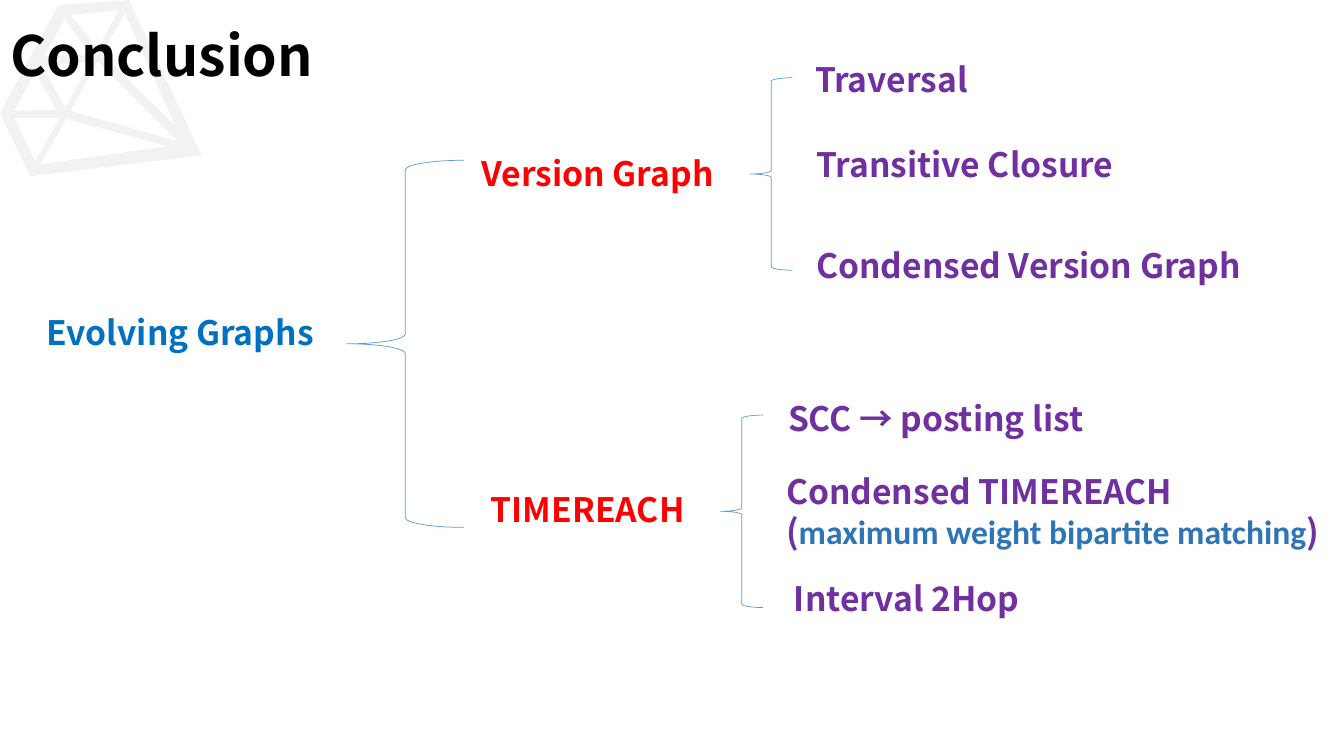
from dataclasses import dataclass

import pptx
import pptx.dml.color
import pptx.enum.shapes
import pptx.enum.text
import pptx.util
from pptx.util import Cm

HEADING_FONT = "Noto Sans CJK SC"
BLUE, RED, PURPLE = "0070C0", "FF0000", "7030A0"
LINE_HEIGHT = 1.27  # height of a one-line label, cm


@dataclass
class Span:
    text: str
    color: str
    font: str = HEADING_FONT


@dataclass
class Label:
    left: float
    top: float
    width: float
    lines: list[list[Span]]
    height: float = LINE_HEIGHT
    level: int = 0
    centered: bool = False
    spacing: float = 1.0


@dataclass
class Brace:
    left: float
    top: float
    width: float
    height: float


LABELS = [
    Label(-0.58, 7.54, 10.24, [[Span("Evolving Graphs", BLUE)]],
          height=1.47, centered=True, spacing=1.2),
    Label(10.62, 3.73, 8.28, [[Span("Version Graph", RED)]], level=1),
    Label(10.85, 12.19, 8.28, [[Span("TIMEREACH", RED)]], level=1),
    Label(19.02, 1.35, 8.28, [[Span("Traversal", PURPLE)]], level=1),
    Label(20.32, 3.51, 8.28, [[Span("Transitive Closure", PURPLE)]]),
    Label(20.32, 6.05, 12.37, [[Span("Condensed Version Graph", PURPLE)]]),
    Label(18.34, 9.91, 10.74, [[Span("SCC → posting list", PURPLE)]], level=1),
    Label(19.56, 11.73, 16.36, [
        [Span("Condensed TIMEREACH", PURPLE)],
        [Span("(", PURPLE),
         Span("maximum weight bipartite matching", "2E75B6", "Calibri"),
         Span(")", PURPLE)],
    ], height=2.31),
    Label(19.76, 14.45, 11.66, [[Span("Interval 2Hop", PURPLE)]]),
]

BRACES = [
    Brace(8.74, 4.04, 2.95, 9.25),
    Brace(18.9, 1.96, 1.07, 4.85),
    Brace(18.16, 10.46, 1.07, 4.85),
]

# Gem outline, then its facets, in units of GEM_UNIT
GEM_UNIT = Cm(2.54) / 100
GEM_CONTOURS = [
    [(58, 5), (0, 112), (30, 175), (200, 154), (128, 0)],
    [(118, 10), (97, 48), (70, 15)],
    [(64, 19), (90, 54), (44, 56)],
    [(90, 61), (65, 107), (42, 66)],
    [(35, 72), (56, 109), (14, 110)],
    [(14, 117), (59, 117), (35, 160)],
    [(40, 163), (66, 118), (166, 145)],
    [(70, 110), (97, 61), (176, 140)],
    [(174, 125), (101, 53), (124, 13)],
]


def rgb(color: str) -> pptx.dml.color.RGBColor:
    return pptx.dml.color.RGBColor.from_string(color)


def format_font(font, size: float, color: str, name: str) -> None:
    font.size = pptx.util.Pt(size)
    font.bold = True
    font.name = name
    font.color.rgb = rgb(color)


def add_gem(page):
    (start, *corners), *facets = GEM_CONTOURS
    builder = page.shapes.build_freeform(*start, scale=GEM_UNIT)
    builder.add_line_segments(corners, close=True)
    for first, *others in facets:
        builder.move_to(*first)
        builder.add_line_segments(others, close=True)
    gem = builder.convert_to_shape()
    gem.shadow.inherit = False
    gem.fill.solid()
    gem.fill.fore_color.rgb = rgb("F2F2F2")
    gem.line.fill.background()
    return gem


def set_title(page, text: str) -> None:
    title = page.shapes.title
    title.left, title.top = Cm(0), Cm(0.51)
    title.width, title.height = Cm(10.29), Cm(1.85)
    frame = title.text_frame
    frame.text = text
    frame.word_wrap = True
    frame.auto_size = pptx.enum.text.MSO_AUTO_SIZE.NONE
    frame.vertical_anchor = pptx.enum.text.MSO_ANCHOR.BOTTOM
    para = frame.paragraphs[0]
    para.alignment = pptx.enum.text.PP_ALIGN.LEFT
    para.line_spacing = 0.9
    format_font(para.font, 39.6, "000000", HEADING_FONT)


def add_label(page, label: Label) -> None:
    box = page.shapes.add_textbox(Cm(label.left), Cm(label.top),
                                  Cm(label.width), Cm(label.height))
    frame = box.text_frame
    frame.word_wrap = True
    frame.auto_size = pptx.enum.text.MSO_AUTO_SIZE.SHAPE_TO_FIT_TEXT
    align = pptx.enum.text.PP_ALIGN
    for index, line in enumerate(label.lines):
        para = frame.add_paragraph() if index else frame.paragraphs[0]
        para.level = label.level
        para.alignment = align.CENTER if label.centered else align.LEFT
        para.line_spacing = label.spacing
        for span in line:
            run = para.add_run()
            run.text = span.text
            font = para.font if len(line) == 1 else run.font
            format_font(font, 24, span.color, span.font)


def add_brace(page, brace: Brace) -> None:
    shape = page.shapes.add_shape(
        pptx.enum.shapes.MSO_SHAPE.LEFT_BRACE, Cm(brace.left), Cm(brace.top),
        Cm(brace.width), Cm(brace.height))
    shape.shadow.inherit = False
    shape.fill.background()
    shape.line.color.rgb = rgb("5B9BD5")
    shape.line.width = pptx.util.Pt(0.5)


def main() -> None:
    deck = pptx.Presentation()
    deck.slide_width, deck.slide_height = Cm(33.87), Cm(19.05)
    page = deck.slides.add_slide(deck.slide_layouts.get_by_name("Title Only"))

    # Title over the gem
    set_title(page, "Conclusion")
    gem = add_gem(page)
    page.shapes.title.element.addprevious(gem.element)

    # Tree of topics
    for brace in BRACES:
        add_brace(page, brace)
    for label in LABELS:
        add_label(page, label)

    deck.save("out.pptx")


if __name__ == "__main__":
    main()
